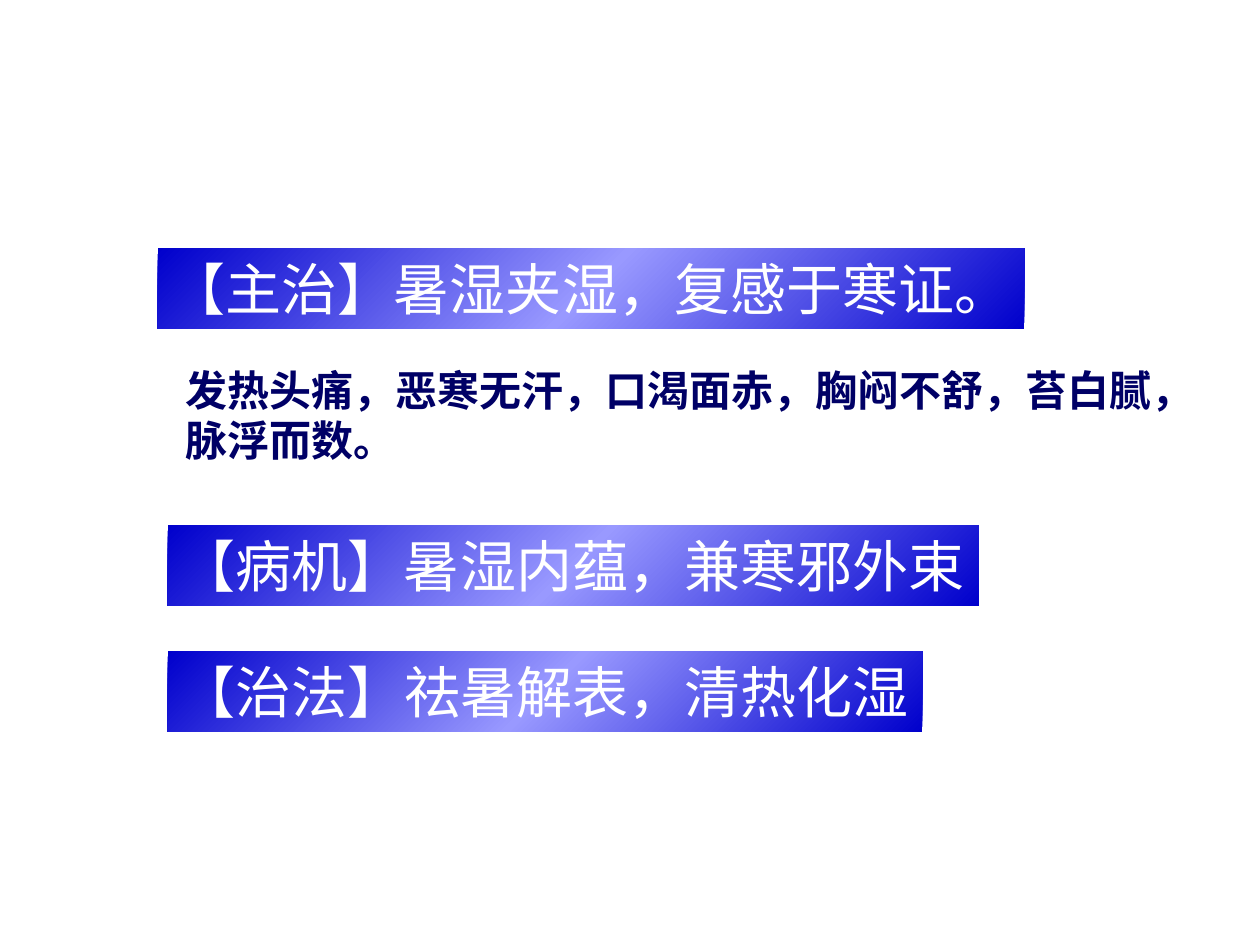
from lxml.etree import SubElement
from pptx import Presentation
from pptx.dml.color import RGBColor as RGB
from pptx.enum.shapes import MSO_SHAPE as Shape
from pptx.enum.text import MSO_ANCHOR as Anchor, MSO_AUTO_SIZE as Fit, PP_ALIGN as Align
from pptx.oxml import parse_xml
from pptx.oxml.ns import nsdecls, qn
from pptx.util import Inches, Pt

COLORS = {"navy": "000066", "deep": "0000CC", "glow": "9999FF", "white": "FFFFFF"}
BARS = [
    (1.25, 1.97, 6.88, "【主治】暑湿夹湿，复感于寒证。"),
    (1.33, 4.17, 6.44, "【病机】暑湿内蕴，兼寒邪外束"),
    (1.33, 5.17, 5.99, "【治法】祛暑解表，清热化湿"),
]
SIGNS = "发热头痛，恶寒无汗，口渴面赤，胸闷不舒，苔白腻，脉浮而数。"


def add_run(para, text, face, size, color, bold=False):
    run = para.add_run()
    run.text = text
    font = run.font
    font.size, font.bold, font.name = Pt(size), bold, face
    font.color.rgb = RGB.from_string(COLORS[color])
    SubElement(run._r.get_or_add_rPr(), qn("a:ea"), typeface=face)


def shade(shape):
    """Fill with a diagonal sweep that is bright in the middle."""
    stops = "".join(
        f'<a:gs pos="{pos * 1000}"><a:srgbClr val="{COLORS[name]}"/></a:gs>'
        for pos, name in ((0, "deep"), (50, "glow"), (100, "deep"))
    )
    grad = parse_xml(
        f'<a:gradFill {nsdecls("a")} rotWithShape="1"><a:gsLst>{stops}</a:gsLst>'
        f'<a:lin ang="{225 * 60000}" scaled="0"/></a:gradFill>'
    )
    shape._element.spPr.find(qn("a:prstGeom")).addnext(grad)


def add_bar(slide, left, top, width, text):
    bar = slide.shapes.add_shape(
        Shape.RECTANGLE, Inches(left), Inches(top), Inches(width), Inches(0.64)
    )
    bar.shadow.inherit = False
    bar.line.fill.background()
    shade(bar)
    frame = bar.text_frame
    frame.word_wrap, frame.auto_size = False, Fit.SHAPE_TO_FIT_TEXT
    frame.vertical_anchor = Anchor.TOP
    para = frame.paragraphs[0]
    para.alignment = Align.LEFT
    add_run(para, text, "Noto Sans CJK JP", 32, "white")


def fill_body(body, left, top, width, height):
    body.left, body.top = Inches(left), Inches(top)
    body.width, body.height = Inches(width), Inches(height)
    frame = body.text_frame
    frame.word_wrap, frame.auto_size = True, Fit.NONE
    para = frame.paragraphs[0]
    props = para._p.get_or_add_pPr()
    props.set("marL", "0")
    props.set("indent", "0")
    SubElement(props, qn("a:buNone"))
    para.space_before = Pt(0)
    add_run(para, SIGNS, "Noto Sans CJK SC", 24, "navy", bold=True)


def main():
    deck = Presentation()
    deck.slide_width, deck.slide_height = Inches(10), Inches(7.5)
    slide = deck.slides.add_slide(deck.slide_layouts[1])
    title = slide.shapes.title._element
    title.getparent().remove(title)
    fill_body(slide.placeholders[1], 1.37, 2.84, 8.29, 0.9)
    for bar in BARS:
        add_bar(slide, *bar)
    deck.save("out.pptx")


if __name__ == "__main__":
    main()
